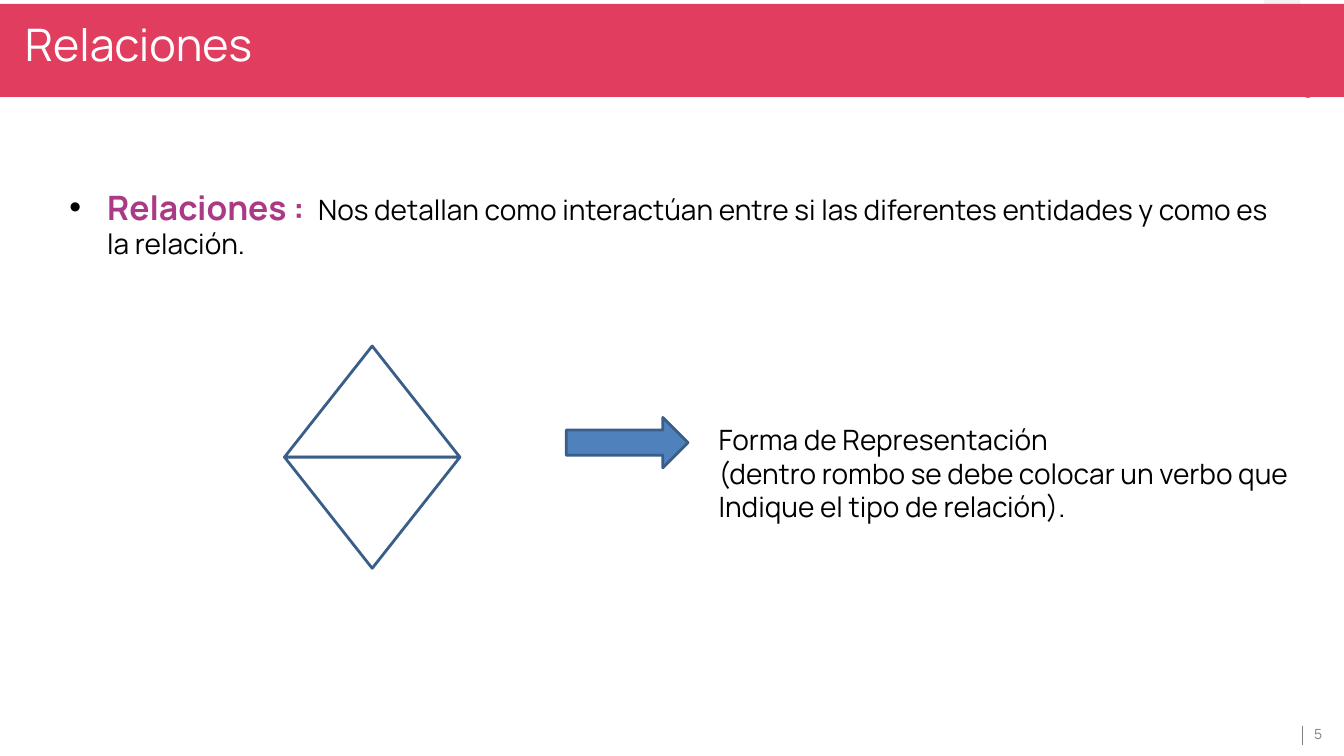
from dataclasses import dataclass
from typing import Optional

from lxml.etree import SubElement
from pptx import Presentation
from pptx.dml.color import RGBColor
from pptx.enum.shapes import MSO_CONNECTOR, MSO_SHAPE
from pptx.enum.text import MSO_ANCHOR, MSO_AUTO_SIZE, PP_ALIGN
from pptx.oxml.ns import qn
from pptx.util import Cm, Pt

FONT = "Manrope"
WHITE = RGBColor(0xFF, 0xFF, 0xFF)
BLACK = RGBColor(0x00, 0x00, 0x00)
RED = RGBColor(0xE1, 0x3D, 0x5E)
PURPLE = RGBColor(0xAA, 0x3A, 0x86)
TEAL = RGBColor(0x32, 0xAA, 0xAF)
PALE_GREY = RGBColor(0xF2, 0xF2, 0xF2)
GREY = RGBColor(0x7F, 0x7F, 0x7F)
BLUE = RGBColor(0x4F, 0x81, 0xBD)
DARK_BLUE = RGBColor(0x39, 0x5E, 0x89)


@dataclass(frozen=True)
class Box:
    """Position and size in centimetres."""
    left: float
    top: float
    width: float
    height: float

    def lengths(self):
        return Cm(self.left), Cm(self.top), Cm(self.width), Cm(self.height)


@dataclass(frozen=True)
class Figure:
    kind: MSO_SHAPE
    box: Box
    fill: RGBColor
    line: Optional[RGBColor] = None
    rotation: float = 0


BACKGROUND = [
    Figure(MSO_SHAPE.RECTANGLE, Box(31.85, 0, 0.92, 0.2), PALE_GREY),
    Figure(MSO_SHAPE.ROUND_2_SAME_RECTANGLE, Box(33.3, 1.14, 0.23, 1.52), TEAL, rotation=225),
    Figure(MSO_SHAPE.RECTANGLE, Box(-0.08, 0.1, 34.01, 2.34), RED),
]
HALF_HEIGHT = 2.8
RHOMBUS_TOP = 8.72
DIAGRAM = [
    Figure(MSO_SHAPE.RIGHT_ARROW, Box(14.27, 10.52, 3.07, 1.27), BLUE, DARK_BLUE),
] + [
    Figure(MSO_SHAPE.FLOWCHART_EXTRACT,
           Box(7.17, RHOMBUS_TOP + half * HALF_HEIGHT, 4.42, HALF_HEIGHT),
           WHITE, DARK_BLUE, half * 180)
    for half in range(2)
]


def draw_figure(slide, figure: Figure) -> None:
    shape = slide.shapes.add_shape(figure.kind, *figure.box.lengths())
    shape.shadow.inherit = False
    shape.rotation = figure.rotation
    shape.fill.solid()
    shape.fill.fore_color.rgb = figure.fill
    if figure.kind == MSO_SHAPE.ROUND_2_SAME_RECTANGLE:
        shape.adjustments[0] = 0.5
    if figure.line is None:
        shape.line.fill.background()
    else:
        shape.line.color.rgb = figure.line
        shape.line.width = Pt(2)


def place_text(shape, box: Box, side: float, edge: float, anchor=MSO_ANCHOR.TOP):
    shape.left, shape.top, shape.width, shape.height = box.lengths()
    frame = shape.text_frame
    frame.word_wrap = True
    frame.auto_size = MSO_AUTO_SIZE.NONE
    frame.vertical_anchor = anchor
    frame.margin_left = frame.margin_right = Cm(side)
    frame.margin_top = frame.margin_bottom = Cm(edge)
    return frame


def format_run(run, size: float, color: RGBColor, bold: bool = False) -> None:
    run.font.name = FONT
    run.font.size = Pt(size)
    run.font.color.rgb = color
    run.font.bold = bold


def write_text(frame, text: str, size: float, color: RGBColor) -> None:
    frame.text = text
    for paragraph in frame.paragraphs:
        paragraph.alignment = PP_ALIGN.LEFT
        for run in paragraph.runs:
            format_run(run, size, color)


def set_bullet(paragraph, indent: float, color: RGBColor) -> None:
    properties = paragraph._p.get_or_add_pPr()
    properties.set("marL", str(Cm(indent)))
    properties.set("indent", str(-Cm(indent)))
    bullet_color = SubElement(properties, qn("a:buClr"))
    SubElement(bullet_color, qn("a:srgbClr")).set("val", str(color))
    SubElement(properties, qn("a:buFont")).set("typeface", "Arial")
    SubElement(properties, qn("a:buChar")).set("char", "•")


def draw_title(slide) -> None:
    title = slide.shapes.title
    frame = place_text(title, Box(0.3, 0.1, 31.8, 1.63), 0.33, 0.33)
    write_text(frame, "Relaciones", 32, WHITE)
    slide.shapes.element.append(title.element)  # in front of the banner


def draw_definition(slide) -> None:
    body = slide.placeholders[1]
    frame = place_text(body, Box(1.5, 4.57, 31.39, 12.4), 0.25, 0.13)
    paragraph = frame.paragraphs[0]
    paragraph.alignment = PP_ALIGN.LEFT
    paragraph.space_before = Pt(0)
    set_bullet(paragraph, 0.95, BLACK)
    term, meaning = paragraph.add_run(), paragraph.add_run()
    term.text = "Relaciones :  "
    meaning.text = ("Nos detallan como interactúan entre si las diferentes "
                    "entidades y como es la relación.")
    format_run(term, 24, PURPLE, bold=True)
    format_run(meaning, 20, BLACK)
    slide.shapes.element.append(body.element)


def draw_caption(slide) -> None:
    box = Box(17.86, 10.52, 15.34, 2.82)
    frame = place_text(slide.shapes.add_textbox(*box.lengths()), box, 0.25, 0.13)
    write_text(frame, "Forma de Representación\n"
                      "(dentro rombo se debe colocar un verbo que\n"
                      "Indique el tipo de relación).", 20, BLACK)


def draw_page_number(slide) -> None:
    x = Cm(32.82)
    rule = slide.shapes.add_connector(MSO_CONNECTOR.STRAIGHT, x, Cm(18.29), x, Cm(18.77))
    rule.line.color.rgb = GREY
    rule.line.width = Pt(1)
    SubElement(rule.element.spPr, qn("a:effectLst"))
    box = Box(33.02, 18.14, 0.85, 0.71)
    frame = place_text(slide.shapes.add_textbox(*box.lengths()), box, 0.1, 0.1,
                       MSO_ANCHOR.MIDDLE)
    write_text(frame, "5", 10, GREY)


def main() -> None:
    presentation = Presentation()
    presentation.slide_width, presentation.slide_height = Cm(33.87), Cm(19.05)
    slide = presentation.slides.add_slide(presentation.slide_layouts[1])

    # Banner and corner details
    for figure in BACKGROUND:
        draw_figure(slide, figure)
    draw_page_number(slide)

    # Title and definition
    draw_title(slide)
    draw_definition(slide)

    # Rhombus, arrow and caption
    for figure in DIAGRAM:
        draw_figure(slide, figure)
    draw_caption(slide)

    presentation.save("out.pptx")


if __name__ == "__main__":
    main()
